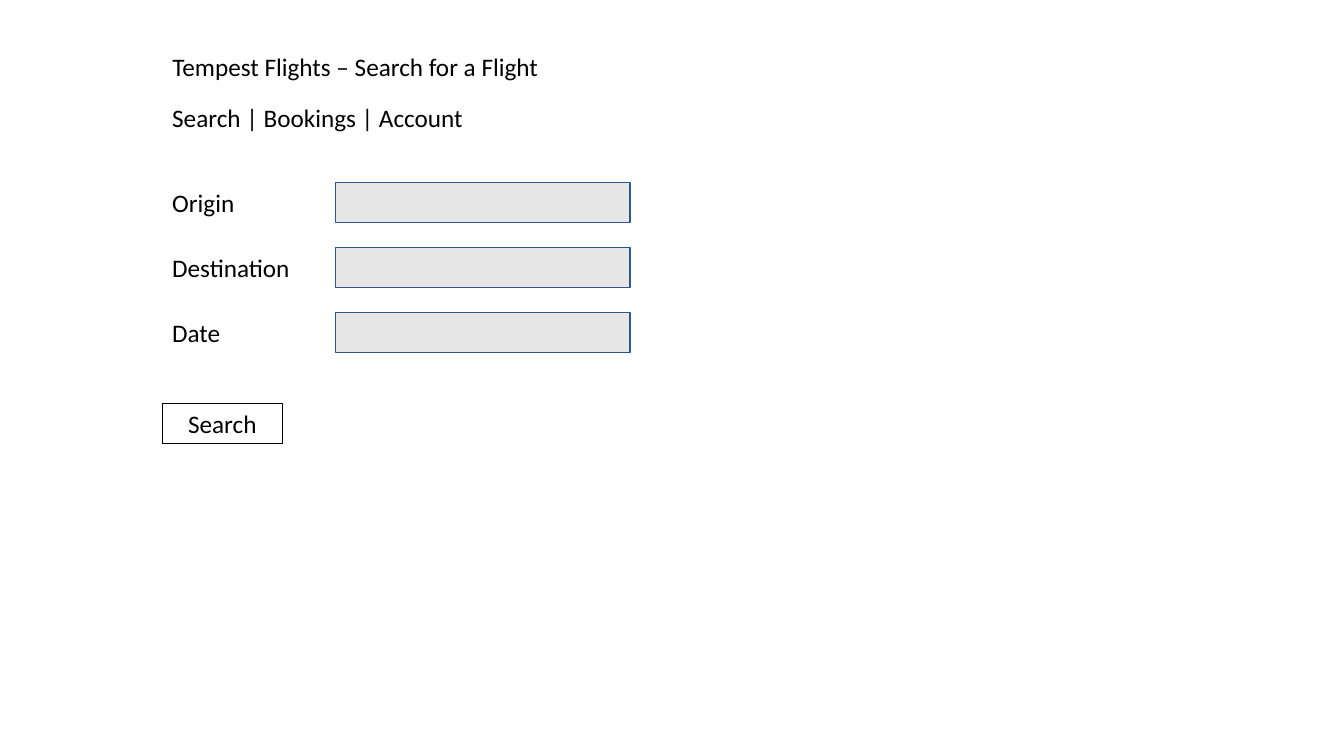
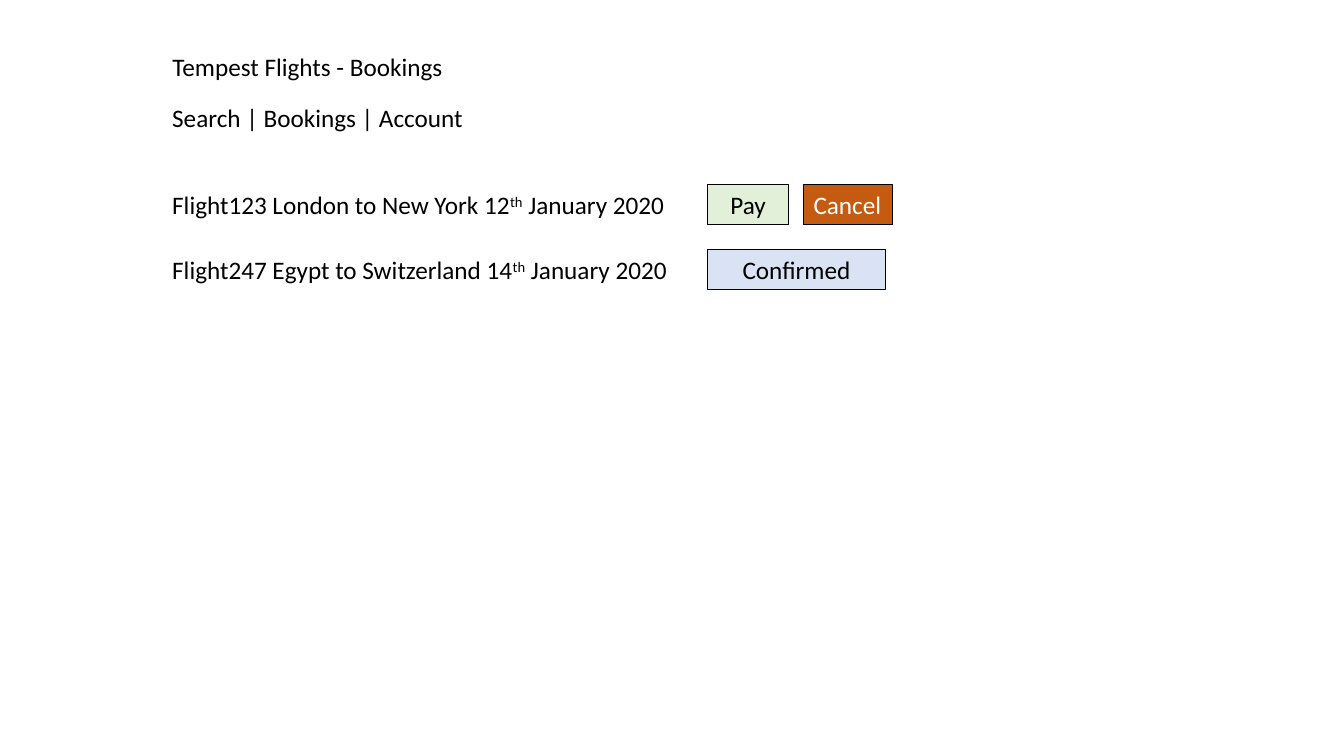
from pptx import Presentation
from pptx.dml.color import RGBColor
from pptx.enum.shapes import MSO_SHAPE
from pptx.enum.text import MSO_ANCHOR, MSO_AUTO_SIZE, PP_ALIGN
from pptx.util import Inches, Pt

BLACK = RGBColor(0x00, 0x00, 0x00)
WHITE = RGBColor(0xFF, 0xFF, 0xFF)
FIELD_GREY = RGBColor(0xE7, 0xE6, 0xE6)
FIELD_BLUE = RGBColor(0x32, 0x54, 0x91)
PAY_GREEN = RGBColor(0xE2, 0xF0, 0xD9)
CANCEL_ORANGE = RGBColor(0xC5, 0x5A, 0x11)
CONFIRMED_BLUE = RGBColor(0xDA, 0xE3, 0xF3)

FONT = "Calibri"
LEFT = 1.61
ROW_H = 0.4
ROW_STEP = 0.645
MENU = "Search | Bookings | Account"


def write(tf, text, color=BLACK, align=PP_ALIGN.LEFT, size=18):
    """Fill a text frame; text between carets is set as superscript."""
    tf.word_wrap = True
    tf.auto_size = MSO_AUTO_SIZE.SHAPE_TO_FIT_TEXT
    tf.vertical_anchor = MSO_ANCHOR.TOP
    p = tf.paragraphs[0]
    p.alignment = align
    for i, part in enumerate(text.split("^")):
        r = p.add_run()
        r.text = part
        r.font.name, r.font.size = FONT, Pt(size)
        r.font.color.rgb = color
        if i % 2:
            r.font._element.set("baseline", "30000")


def add_label(s, text, x, y, w):
    """Add a one-line text box."""
    box = s.shapes.add_textbox(Inches(x), Inches(y), Inches(w), Inches(ROW_H))
    write(box.text_frame, text)


def add_box(s, x, y, w, fill=None, line=BLACK, weight=0.75):
    """Add an outlined rectangle one row high, hollow when no fill is given."""
    sp = s.shapes.add_shape(MSO_SHAPE.RECTANGLE, Inches(x), Inches(y),
                            Inches(w), Inches(ROW_H))
    sp.shadow.inherit = False
    if fill is None:
        sp.fill.background()
    else:
        sp.fill.solid()
        sp.fill.fore_color.rgb = fill
    sp.line.color.rgb = line
    sp.line.width = Pt(weight)
    return sp


def add_button(s, text, x, y, w, fill=None, color=BLACK, align=PP_ALIGN.CENTER):
    """Add a rectangle with a caption."""
    write(add_box(s, x, y, w, fill).text_frame, text, color=color, align=align)


def add_page(prs, title, title_w):
    """Add a slide with the site's title and menu."""
    s = prs.slides.add_slide(prs.slide_layouts[5])
    sp = s.shapes.title
    sp.left, sp.top = Inches(LEFT), Inches(0.46)
    sp.width, sp.height = Inches(title_w), Inches(ROW_H)
    write(sp.text_frame, title)
    add_label(s, MENU, LEFT, 0.97, 3.27)
    return s


def add_search_form(s, x, y):
    """Place labelled input fields with the search button below."""
    for i, name in enumerate(("Origin", "Destination", "Date")):
        row_y = y + i * ROW_STEP
        add_label(s, name, x, row_y, 1.83)
        add_box(s, x + 1.72, row_y, 2.92, FIELD_GREY, FIELD_BLUE, weight=1)
    add_button(s, "Search", x, y + 2.19, 1.19)


def add_bookings(s, x, y):
    """Place one row per booking, with its buttons at the right."""
    action_x = x + 5.41
    flights = ("Flight123 London to New York 12^th^ January 2020",
               "Flight247 Egypt to Switzerland 14^th^ January 2020")
    for i, flight in enumerate(flights):
        add_label(s, flight, x, y + i * ROW_STEP, 5.2)
    add_button(s, "Pay", action_x, y, 0.8, PAY_GREEN)
    add_button(s, "Cancel", action_x + 0.95, y, 0.88, CANCEL_ORANGE,
               color=WHITE, align=PP_ALIGN.LEFT)
    add_button(s, "Confirmed", action_x, y + ROW_STEP, 1.76, CONFIRMED_BLUE)


prs = Presentation()
prs.slide_width, prs.slide_height = Inches(13.33), Inches(7.5)
add_search_form(add_page(prs, "Tempest Flights – Search for a Flight", 4.42), LEFT, 1.81)
add_bookings(add_page(prs, "Tempest Flights - Bookings", 2.9), LEFT, 1.83)
prs.save("out.pptx")
